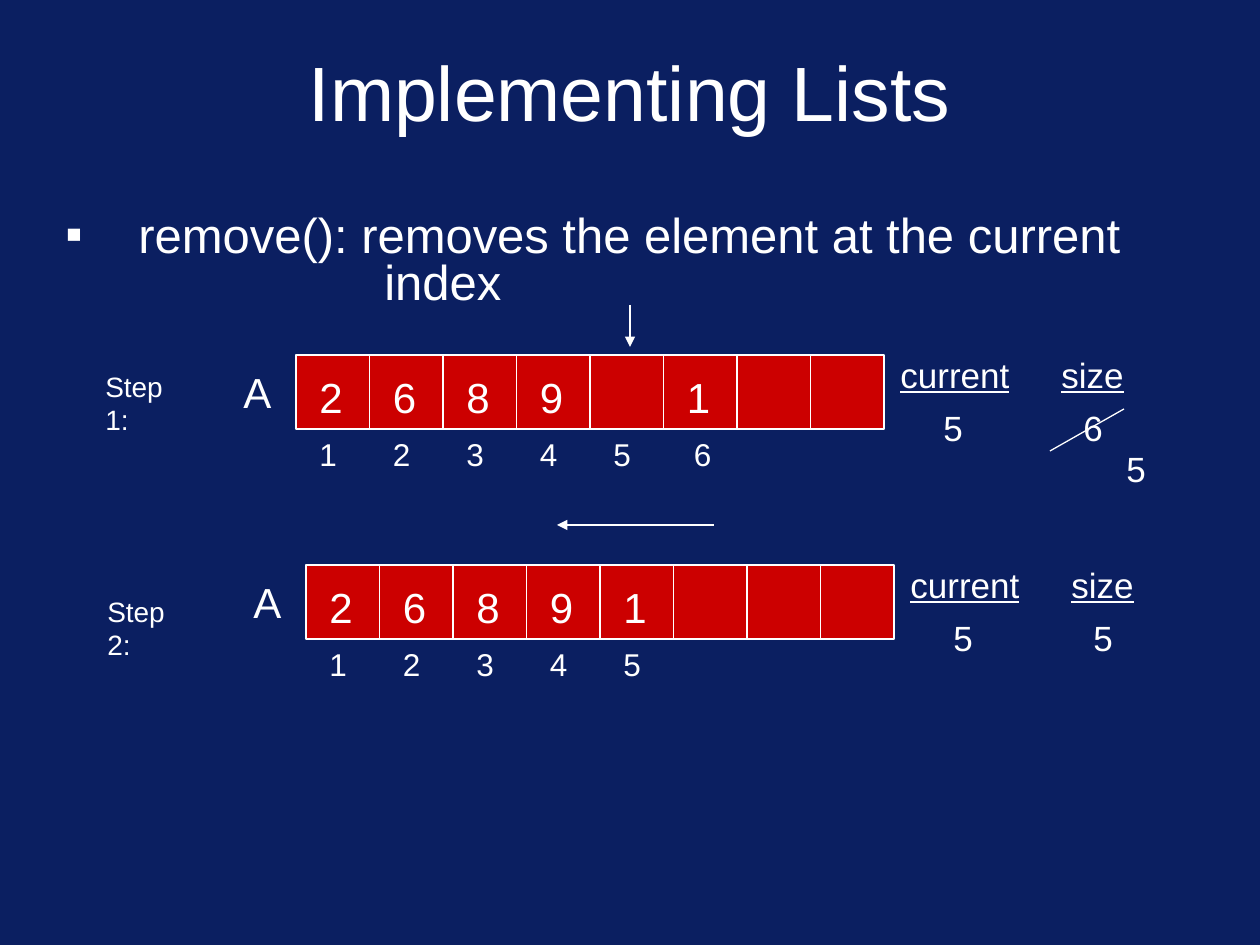
from lxml.etree import SubElement
from pptx import Presentation
from pptx.dml.color import RGBColor
from pptx.enum.shapes import MSO_CONNECTOR as Connector, MSO_SHAPE as Shape
from pptx.enum.text import MSO_ANCHOR as Anchor, MSO_AUTO_SIZE as AutoSize, PP_ALIGN as Align
from pptx.oxml.ns import qn
from pptx.util import Emu, Pt

PX = 914400 / 126
COLORS = {"background": "0B1F61", "cells": "CC0000", "ink": "FFFFFF"}
CELLS, ARRAY_WIDTH, ARRAY_HEIGHT = 8, 588, 74
SIZES = {"title": 44, "bullet": 28, "value": 24, "counter": 20, "index": 18, "step": 16}

STEPS = [
    dict(name="Step 1:", name_at=(93, 363), array_at=(296, 355),
         values=["2", "6", "8", "9", "", "1"], indexes="123456",
         current="5", size="6"),
    dict(name="Step 2:", name_at=(95, 588), array_at=(306, 565),
         values=["2", "6", "8", "9", "1"], indexes="12345",
         current="5", size="5"),
]


def px(length):
    return Emu(round(length * PX))


def color(name):
    return RGBColor.from_string(COLORS[name])


def set_font(paragraph, role, underline=None):
    look = dict(name="Arial", size=Pt(SIZES[role]), underline=underline)
    for attribute, value in look.items():
        setattr(paragraph.font, attribute, value)
    paragraph.font.color.rgb = color("ink")


def add_title(slide, words):
    title = slide.shapes.title
    place = dict(left=px(63), top=px(28), width=px(1134), height=px(126))
    for attribute, value in place.items():
        setattr(title, attribute, value)
    title.text_frame.text = words
    title.text_frame.vertical_anchor = Anchor.MIDDLE
    title.text_frame.paragraphs[0].alignment = Align.CENTER
    set_font(title.text_frame.paragraphs[0], "title")


def add_bullet(slide, words):
    frame = slide.shapes.add_textbox(px(53), px(210), px(1134), px(137)).text_frame
    frame.word_wrap = True
    paragraph = frame.paragraphs[0]
    paragraph.text = words
    paragraph.line_spacing = 0.8
    properties = paragraph._p.get_or_add_pPr()
    properties.set("marL", str(px(73)))
    properties.set("indent", str(px(-73)))
    bullet_color = SubElement(properties, qn("a:buClr"))
    SubElement(bullet_color, qn("a:srgbClr"), val=COLORS["ink"])
    SubElement(properties, qn("a:buFont"), typeface="Arial")
    SubElement(properties, qn("a:buChar"), char="▪")
    # The second line hangs from one tab stop
    stops = SubElement(properties, qn("a:tabLst"))
    SubElement(stops, qn("a:tab"), pos=str(px(319)), algn="l")
    set_font(paragraph, "bullet")


def add_label(group, words, left, top, width, height, role, underline=None):
    frame = group.shapes.add_textbox(px(left), px(top), px(width), px(height)).text_frame
    frame.word_wrap = False
    frame.auto_size = AutoSize.SHAPE_TO_FIT_TEXT
    frame.text = words
    set_font(frame.paragraphs[0], role, underline)


def add_line(group, start, end, arrow=False):
    line = group.shapes.add_connector(Connector.STRAIGHT, *map(px, start + end))
    line.line.color.rgb = color("ink")
    line.line.width = Pt(0.75)
    if arrow:
        SubElement(line.line._get_or_add_ln(), qn("a:tailEnd"), type="triangle")
    SubElement(line._element.spPr, qn("a:effectLst"))


def add_array(group, left, top, values, indexes):
    array = group.shapes.add_shape(
        Shape.RECTANGLE, px(left), px(top), px(ARRAY_WIDTH), px(ARRAY_HEIGHT))
    array.shadow.inherit = False
    array.fill.solid()
    array.fill.fore_color.rgb = color("cells")
    array.line.color.rgb = color("ink")
    array.line.width = Pt(0.75)
    add_label(group, "A", left - 65, top + 5, 53, 63, "value")

    edges = [left + ARRAY_WIDTH * i / CELLS for i in range(CELLS)]
    for edge in edges[1:]:
        add_line(group, (edge, top), (edge, top + ARRAY_HEIGHT))
    for edge, value in zip(edges, values):
        if value:
            add_label(group, value, edge + 11, top + 10, 48, 63, "value")
    for edge, index in zip(edges, indexes):
        nudge = 7 if index == "6" else 0
        add_label(group, index, edge + 11 + nudge, top + 74, 43, 50, "index")


def add_counters(group, left, top, current, size):
    add_label(group, "current", left + 592, top - 8, 134, 55, "counter", True)
    add_label(group, current, left + 635, top + 45, 44, 55, "counter")
    add_label(group, "size", left + 753, top - 8, 88, 55, "counter", True)
    add_label(group, size, left + 775, top + 45, 44, 55, "counter")


def add_step(slide, step):
    group = slide.shapes.add_group_shape()
    add_counters(group, *step["array_at"], step["current"], step["size"])
    add_array(group, *step["array_at"], step["values"], step["indexes"])
    add_label(group, step["name"], *step["name_at"], 113, 47, "step")
    return group


def main():
    deck = Presentation()
    deck.slide_width, deck.slide_height = px(1260), px(945)
    slide = deck.slides.add_slide(deck.slide_layouts[5])
    slide.background.fill.solid()
    slide.background.fill.fore_color.rgb = color("background")

    add_title(slide, "Implementing Lists")
    add_bullet(slide, "remove(): removes the element at the current\v\tindex")
    removal, shift = [add_step(slide, step) for step in STEPS]

    # Step 1: point at the removed cell and replace the old size
    add_line(removal, (630, 305), (630, 347), arrow=True)
    add_line(removal, (1050, 451), (1124, 409))
    add_label(removal, "5", 1114, 441, 44, 55, "counter")

    # Step 2: move the remaining value left
    add_line(shift, (714, 525), (557, 525), arrow=True)

    deck.save("out.pptx")


if __name__ == "__main__":
    main()
